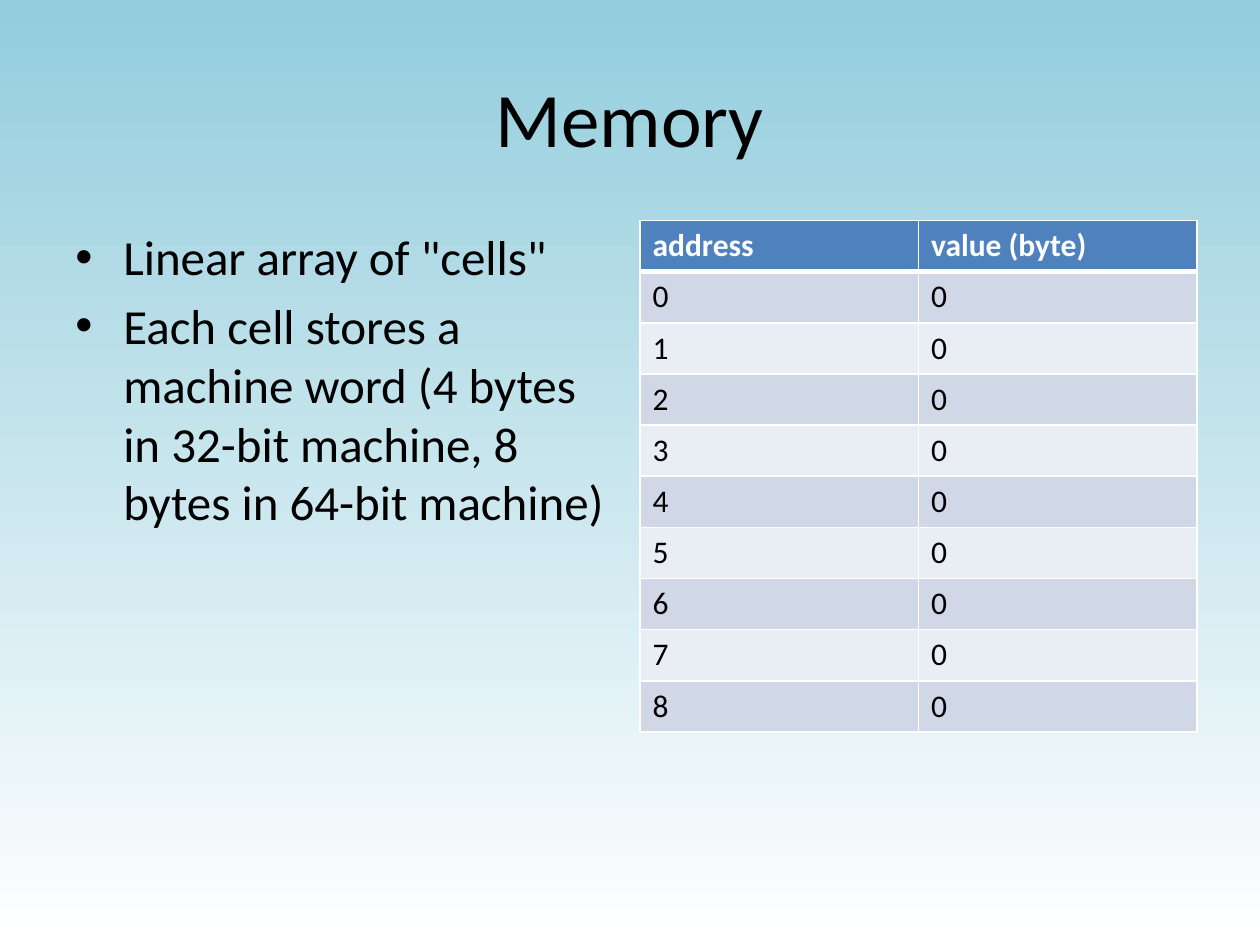
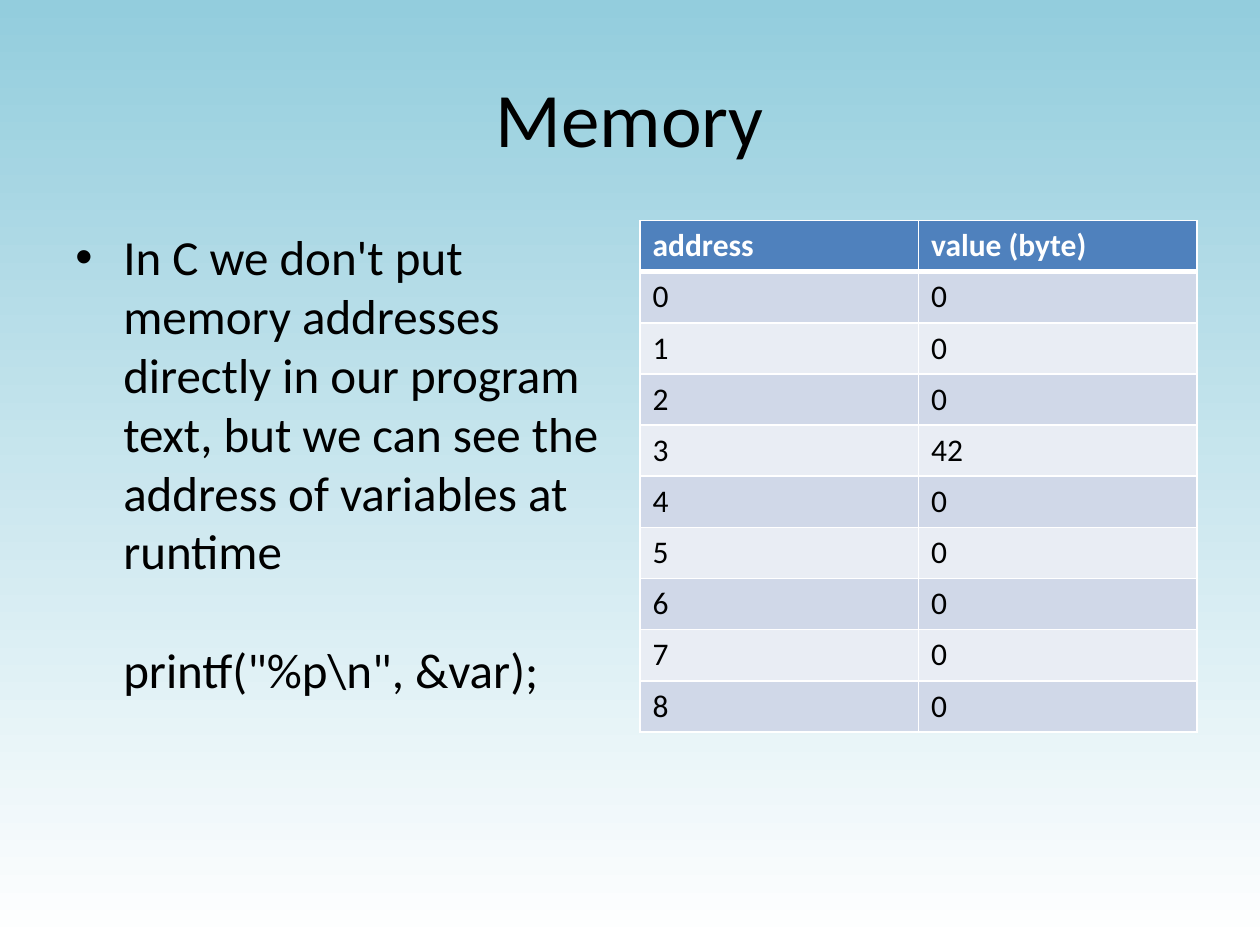
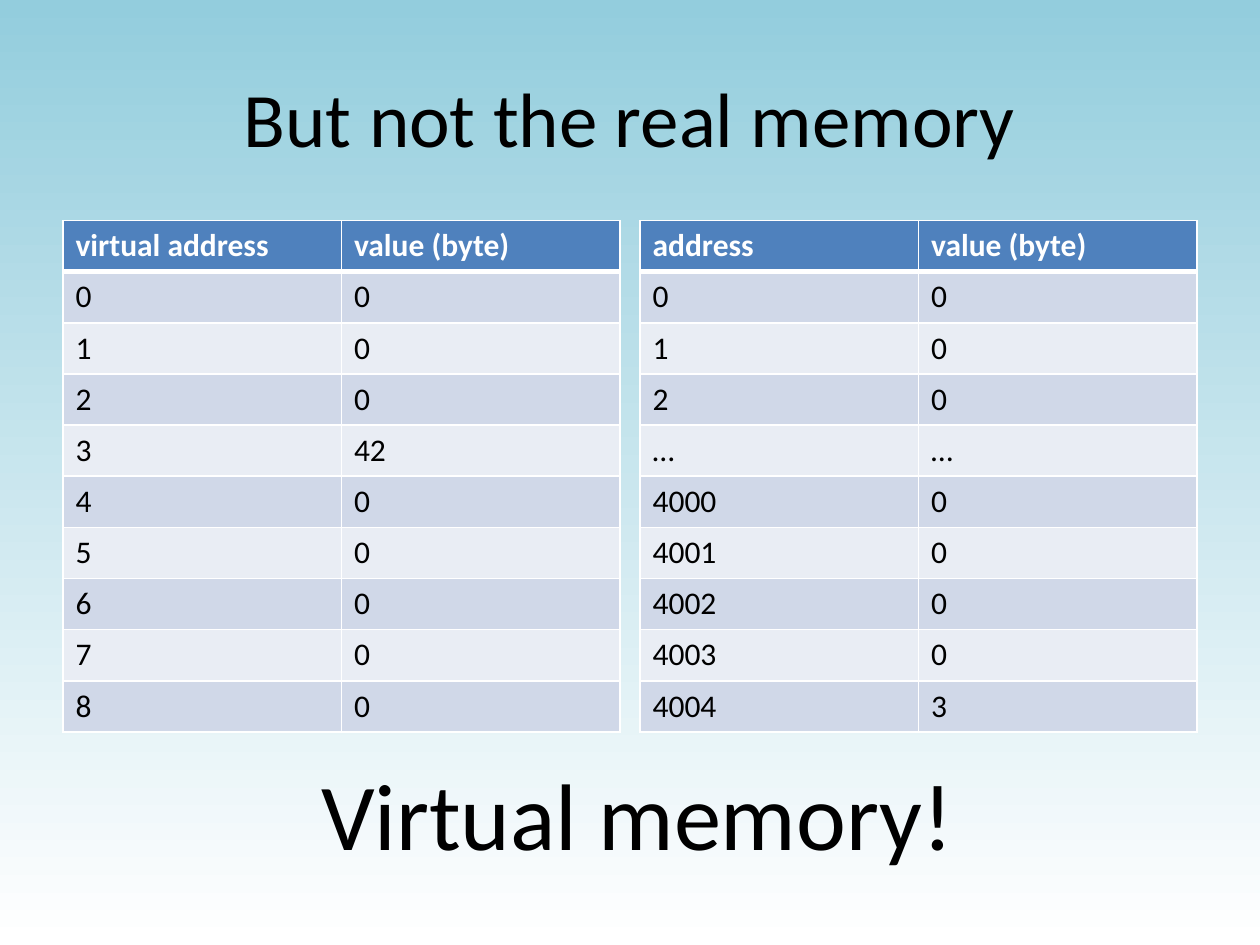
import lxml.etree
import pptx
import pptx.dml.color
import pptx.enum.text
import pptx.oxml.ns
import pptx.util

Inches = pptx.util.Inches
Pt = pptx.util.Pt
MSO_ANCHOR = pptx.enum.text.MSO_ANCHOR
MSO_AUTO_SIZE = pptx.enum.text.MSO_AUTO_SIZE
PP_ALIGN = pptx.enum.text.PP_ALIGN

COLORS = {
    "text": "000000",
    "header_text": "FFFFFF",
    "rule": "FFFFFF",
    "header": "4F81BD",
    "odd_row": "D0D8E8",
    "even_row": "E9EDF4",
    "sky_bottom": "FFFFFF",
    "sky_top": "93CDDD",
}
FONT = "Calibri"
LEFT_COLUMN, RIGHT_COLUMN = 0.5, 5.08
COLUMN_TOP, COLUMN_WIDTH = 1.75, 4.42
TABLE_HEIGHT = 4.06
BULLET_INDENT = Inches(0.38)
BULLET_GAP, CODE_GAP = Pt(5.6), Pt(34)
VALUE_HEADING = "value (byte)"


def rgb(name):
    """Return the named colour."""
    return pptx.dml.color.RGBColor.from_string(COLORS[name])


def set_all(target, values):
    """Set every attribute in values on target."""
    for attribute, value in values.items():
        setattr(target, attribute, value)


def write(paragraph, text, size, color="text", bold=False):
    """Add one run of text to a paragraph."""
    run = paragraph.add_run()
    run.text = text
    set_all(run.font, {"name": FONT, "size": Pt(size), "bold": bold})
    run.font.color.rgb = rgb(color)


def add_text_frame(slide, left, top, width, height, **values):
    """Add a text box and return its formatted frame."""
    box = slide.shapes.add_textbox(
        Inches(left), Inches(top), Inches(width), Inches(height))
    set_all(box.text_frame, {"word_wrap": True, **values})
    return box.text_frame


def add_titled_slide(deck, title):
    """Add a blank slide with the shared gradient and title style."""
    slide = deck.slides.add_slide(deck.slide_layouts[6])
    sky = slide.background.fill
    sky.gradient()
    sky.gradient_angle = 90
    for stop, name in zip(sky.gradient_stops, ("sky_bottom", "sky_top")):
        stop.color.rgb = rgb(name)
    frame = add_text_frame(slide, 0.5, 0.3, 9, 1.25,
                           vertical_anchor=MSO_ANCHOR.MIDDLE)
    heading = frame.paragraphs[0]
    heading.alignment = PP_ALIGN.CENTER
    write(heading, title, 44)
    return slide


def add_points(slide, points, code=None):
    """Fill the left column with bullets and an optional line of code."""
    frame = add_text_frame(slide, LEFT_COLUMN, COLUMN_TOP, COLUMN_WIDTH, 4.95)
    lines = [(point, True) for point in points]
    if code:
        lines.append((code, False))
    for index, (text, bulleted) in enumerate(lines):
        paragraph = frame.add_paragraph() if index else frame.paragraphs[0]
        paragraph.space_before = BULLET_GAP if bulleted else CODE_GAP
        properties = paragraph._p.get_or_add_pPr()
        properties.set("marL", str(BULLET_INDENT))
        properties.set("indent", str(-BULLET_INDENT if bulleted else 0))
        if bulleted:
            add_child(properties, "a:buFont", typeface="Arial")
            add_child(properties, "a:buChar", char="•")
        else:
            add_child(properties, "a:buNone")
        write(paragraph, text, 28)


def add_child(parent, tag, **attributes):
    """Append a DrawingML element to parent."""
    return lxml.etree.SubElement(parent, pptx.oxml.ns.qn(tag), attributes)


def set_borders(cell, top, bottom):
    """Draw the cell's rules, with the top and bottom widths in points."""
    properties = cell._tc.get_or_add_tcPr()
    for side, width in {"L": 1, "R": 1, "T": top, "B": bottom}.items():
        line = add_child(properties, "a:ln" + side, w=str(Pt(width)))
        add_child(add_child(line, "a:solidFill"), "a:srgbClr",
                  val=COLORS["rule"])


def add_memory_table(slide, left, address_heading, cells):
    """Add a table of (address, value) pairs under a header row."""
    rows = [(address_heading, VALUE_HEADING), *cells]
    table = slide.shapes.add_table(
        len(rows), 2, Inches(left), Inches(COLUMN_TOP),
        Inches(COLUMN_WIDTH), Inches(TABLE_HEIGHT)).table
    table.horz_banding = False
    for r, row in enumerate(rows):
        is_header = r == 0
        fill = "header" if is_header else "odd_row" if r % 2 else "even_row"
        for c, text in enumerate(row):
            cell = table.cell(r, c)
            set_borders(cell, top=3 if r == 1 else 1,
                        bottom=3 if is_header else 1)
            cell.fill.solid()
            cell.fill.fore_color.rgb = rgb(fill)
            write(cell.text_frame.paragraphs[0], str(text), 18,
                  "header_text" if is_header else "text", is_header)


def memory(stored=None):
    """Return addresses 0 to 8 with value 0, except where stored says."""
    stored = stored or {}
    return [(address, stored.get(address, 0)) for address in range(9)]


def main():
    """Build the three slides on memory."""
    deck = pptx.Presentation()
    set_all(deck, {"slide_width": Inches(10), "slide_height": Inches(7.5)})

    cells_slide = add_titled_slide(deck, "Memory")
    add_points(cells_slide, [
        'Linear array of "cells"',
        "Each cell stores a machine word (4 bytes in 32-bit machine, "
        "8 bytes in 64-bit machine)",
    ])
    add_memory_table(cells_slide, RIGHT_COLUMN, "address", memory())

    variables_slide = add_titled_slide(deck, "Memory")
    add_points(variables_slide, [
        "In C we don't put memory addresses directly in our program text, "
        "but we can see the address of variables at runtime",
    ], code='printf("%p\\n", &var);')
    add_memory_table(variables_slide, RIGHT_COLUMN, "address", memory({3: 42}))

    virtual_slide = add_titled_slide(deck, "But not the real memory")
    add_memory_table(virtual_slide, LEFT_COLUMN, "virtual address",
                     memory({3: 42}))
    physical = [(address, 0) for address in (0, 1, 2)]
    physical.append(("…", "…"))
    physical += [(address, 0) for address in range(4000, 4004)]
    physical.append((4004, 3))
    add_memory_table(virtual_slide, RIGHT_COLUMN, "address", physical)
    punchline = add_text_frame(virtual_slide, 2.45, 5.95, 5.27, 1.01,
                               word_wrap=False,
                               auto_size=MSO_AUTO_SIZE.SHAPE_TO_FIT_TEXT)
    write(punchline.paragraphs[0], "Virtual memory!", 54)

    deck.save("out.pptx")


main()
